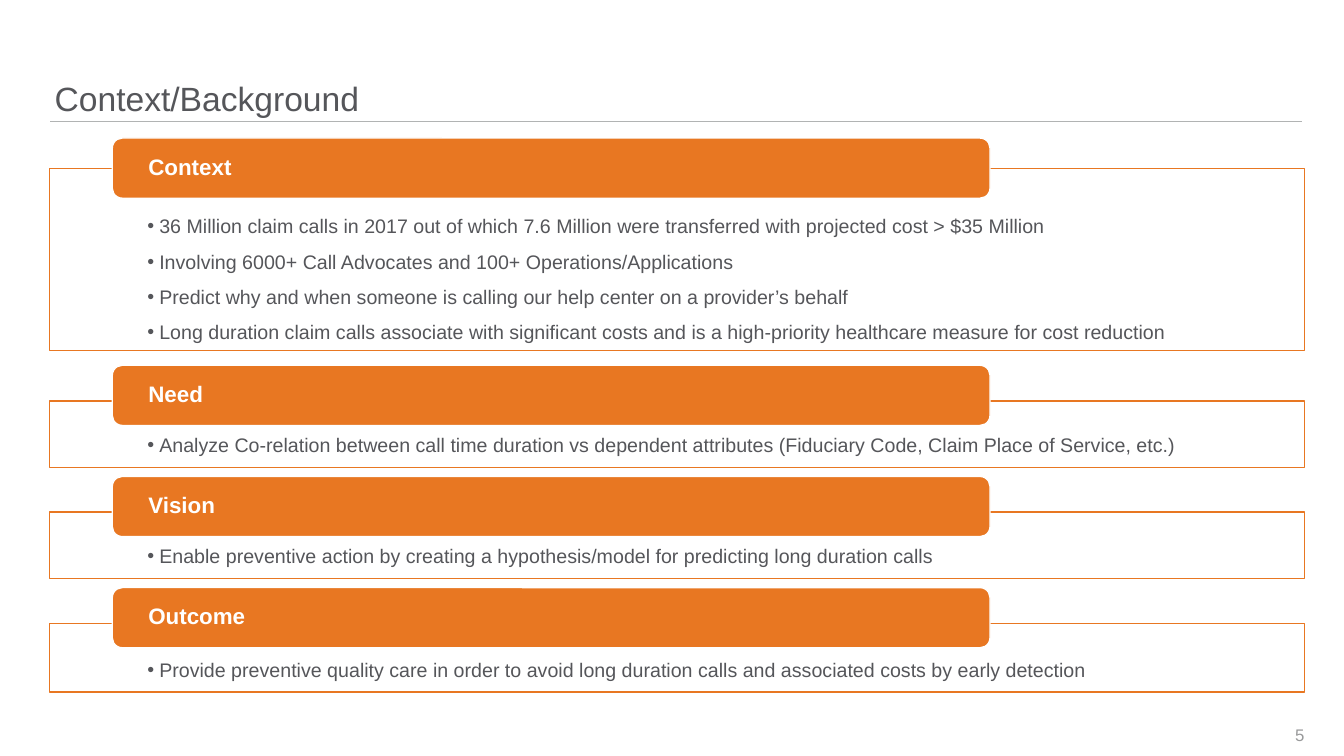
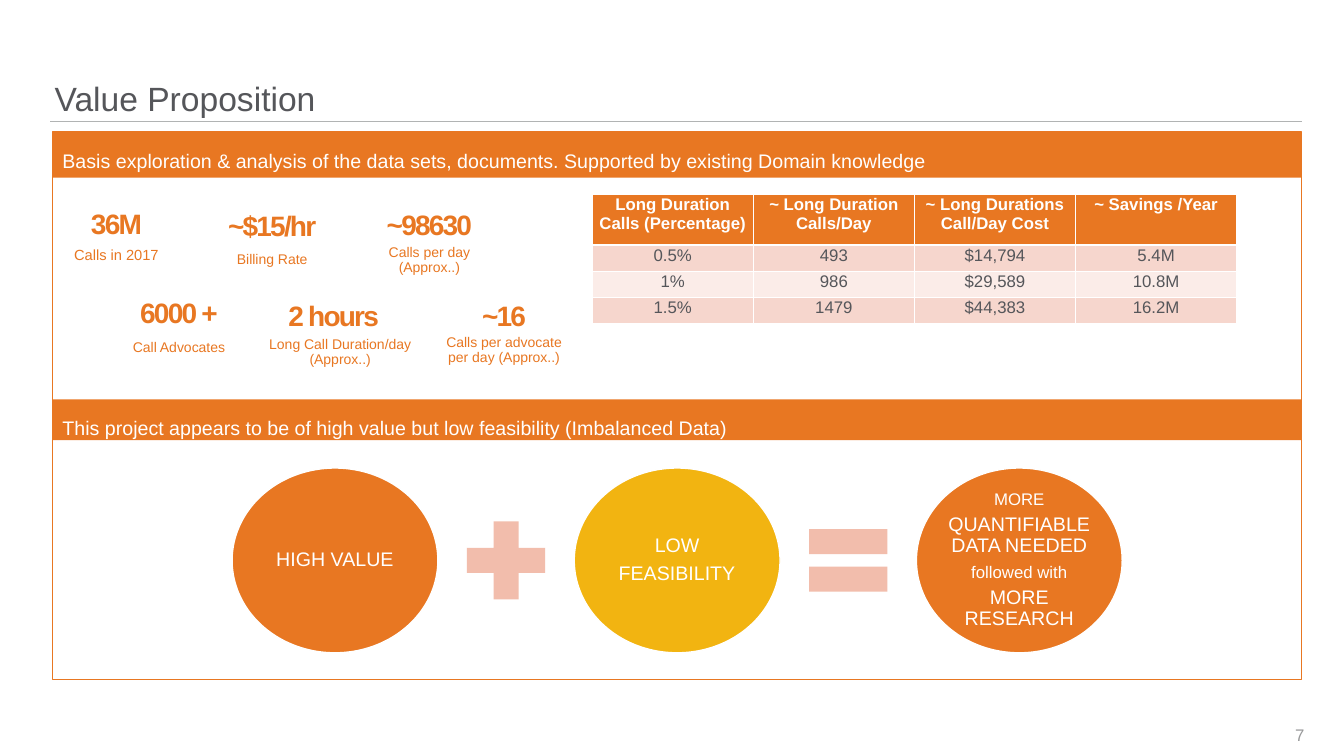
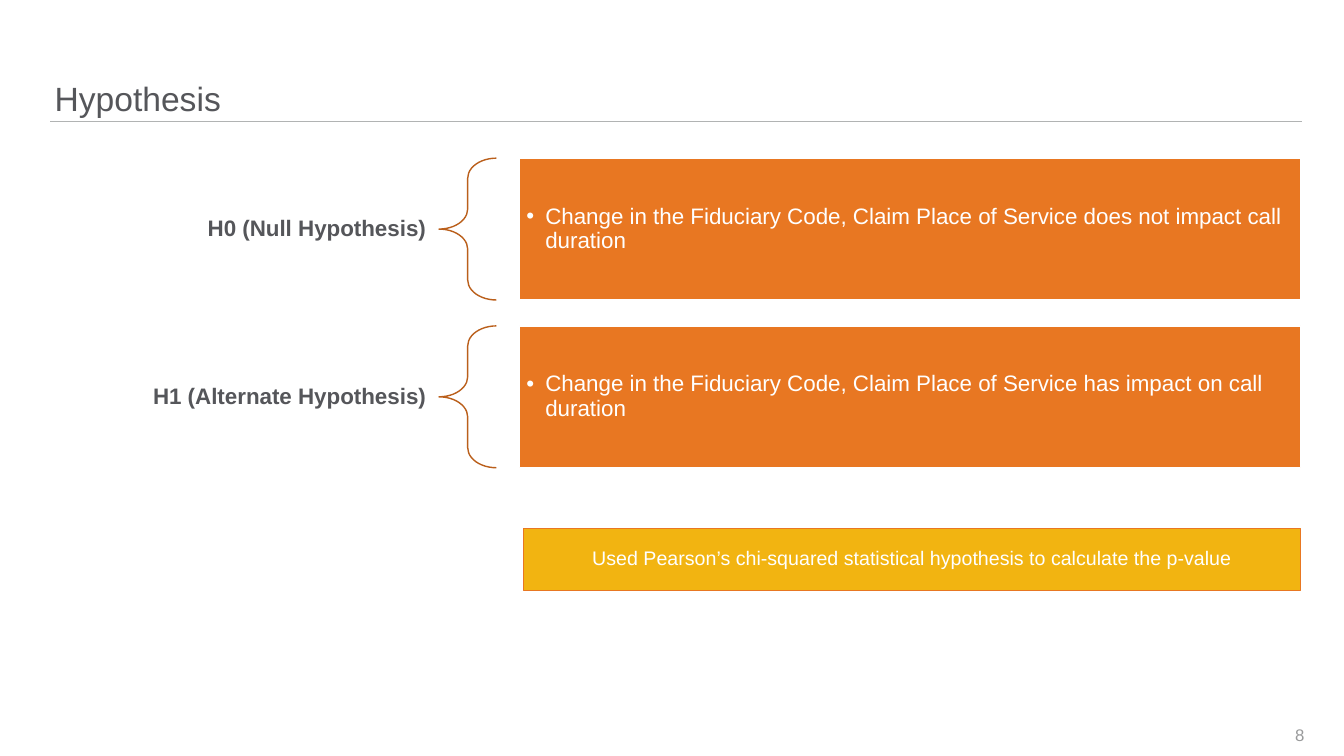
from dataclasses import dataclass
from lxml import etree
from pptx import Presentation
from pptx import util as u
from pptx.dml.color import RGBColor
from pptx.enum import shapes, text
from pptx.oxml.ns import qn

KIND = shapes.MSO_SHAPE
ALIGN = text.PP_ALIGN
ANCHOR = text.MSO_ANCHOR


@dataclass(frozen=True)
class Theme:
    font: str = "Arial"
    ink: str = "55565A"
    gray: str = "999A9B"
    rule: str = "B1B3B3"
    main: str = "E87722"
    dark: str = "BA5F1B"
    gold: str = "F2B411"
    sign: str = "F2BDAC"
    odd: str = "F6D6CD"
    even: str = "FBECE8"
    white: str = "FFFFFF"
    title: float = 24
    stat: float = 20
    head: float = 16
    body: float = 14
    small: float = 12
    note: float = 10


T = Theme()


def rgb(code):
    return RGBColor.from_string(code)


# Shared text and shape helpers
def write(frame, lines, size, color, bold=False, align=ALIGN.LEFT,
          anchor=ANCHOR.MIDDLE, pad=(0, 0, 0, 0), gap=0.9, after=0):
    """Fill a frame; a line is a string or a (string, size) pair.
    The space after a line is a share of its type size."""
    frame.word_wrap = True
    frame.auto_size = text.MSO_AUTO_SIZE.NONE
    frame.vertical_anchor = anchor
    (frame.margin_left, frame.margin_top,
     frame.margin_right, frame.margin_bottom) = map(u.Pt, pad)
    pairs = [(ln, size) if isinstance(ln, str) else ln for ln in lines]
    frame.text = "\n".join(words for words, _ in pairs)
    for para, (_, pts) in zip(frame.paragraphs, pairs):
        para.alignment = align
        para.line_spacing = gap
        para.space_before = u.Pt(0)
        para.space_after = u.Pt(round(after * pts, 1))
        for run in para.runs:
            font = run.font
            font.name, font.size, font.bold = T.font, u.Pt(pts), bold
            font.color.rgb = rgb(color)


def bullet(shape, dent):
    for props in shape.element.iter(qn("a:pPr")):
        props.set("marL", str(u.Pt(dent)))
        props.set("indent", str(-u.Pt(dent)))
        etree.SubElement(props, qn("a:buFont")).set("typeface", T.font)
        etree.SubElement(props, qn("a:buChar")).set("char", "•")


def draw(slide, kind, box, fill=None, line=None, width=1):
    shape = slide.shapes.add_shape(kind, *map(u.Pt, box))
    shape.shadow.inherit = False
    if fill:
        shape.fill.solid()
        shape.fill.fore_color.rgb = rgb(fill)
    else:
        shape.fill.background()
    if line:
        shape.line.color.rgb = rgb(line)
        shape.line.width = u.Pt(width)
    else:
        shape.line.fill.background()
    return shape


def label(slide, box, words, size, color, **style):
    shape = slide.shapes.add_textbox(*map(u.Pt, box))
    write(shape.text_frame, [words], size, color, **style)
    return shape


# Title and page number of every slide
def page(deck, layout, title, number):
    slide = deck.slides.add_slide(layout)
    head = slide.shapes.title
    head.left, head.top, head.width, head.height = map(u.Pt, (39, 26, 891, 59))
    write(head.text_frame, [title], T.title, T.ink, anchor=ANCHOR.BOTTOM)
    label(slide, (883.6, 510.5, 48.2, 28.8), number, T.small, T.gray,
          align=ALIGN.RIGHT, gap=1)
    return slide


# Rule under the title, kept on the layout
def rule(slide, layout):
    line = slide.shapes.add_connector(
        shapes.MSO_CONNECTOR.STRAIGHT, *map(u.Pt, (36, 86.6, 930, 86.6)))
    line.line.color.rgb = rgb(T.rule)
    line.line.width = u.Pt(1)
    etree.SubElement(line.element.find(qn("p:spPr")), qn("a:effectLst"))
    layout.shapes.element.append(line.element)


# Outlined panel with a tab across its top edge
def panel(slide, box, lift, head, lines, gap):
    left, top, _, _ = box
    body = draw(slide, KIND.RECTANGLE, box, T.white, T.main)
    write(body.text_frame, lines, T.body, T.ink, anchor=ANCHOR.TOP,
          pad=(70, 24.5, 70, 8), gap=gap, after=0 if gap > 1 else 0.15)
    bullet(body, 8.6)
    tab = draw(slide, KIND.ROUNDED_RECTANGLE, (left + 45, top - lift, 627, 43),
               T.main, T.white)
    write(tab.text_frame, [head], T.head, T.white, bold=True,
          pad=(23.7, 0, 23.7, 0), after=0.35)


def context(slide):
    panels = [
        (120.2, 130.2, 21.6, 1.5, "Context", [
            "36 Million claim calls in 2017 out of which 7.6 Million were transferred with projected cost > $35 Million",
            "Involving 6000+ Call Advocates and 100+ Operations/Applications",
            "Predict why and when someone is calling our help center on a provider’s behalf",
            "Long duration claim calls associate with significant costs and is a high-priority healthcare measure for cost reduction"]),
        (286.4, 47.5, 25.5, 0.9, "Need", [
            "Analyze Co-relation between call time duration vs dependent attributes (Fiduciary Code, Claim Place of Service, etc.)"]),
        (365.8, 47.5, 25.5, 0.9, "Vision", [
            "Enable preventive action by creating a hypothesis/model for predicting long duration calls"]),
        (445.2, 49, 25.5, 1, "Outcome", [
            "Provide preventive quality care in order to avoid long duration calls and associated costs by early detection"]),
    ]
    for top, high, lift, gap, head, lines in panels:
        panel(slide, (35.2, top, 896.4, high), lift, head, lines, gap)


# Full-width band with a heading
def band(slide, box, words):
    bar = draw(slide, KIND.RECTANGLE, box, T.main)
    write(bar.text_frame, [words], T.body, T.white, anchor=ANCHOR.TOP,
          pad=(7.2, 3.6, 7.2, 3.6), gap=1.5)


# Key figure centred on mid, with its caption ending at base
def stat(slide, x, mid, base, figure, words, size=T.note, wide=106.5, shift=0):
    value = label(slide, (x - 53, mid - 15, 106, 30), figure, T.stat, T.main,
                  bold=True, align=ALIGN.CENTER, pad=(8.6, 4.3, 8.6, 4.3))
    for props in value.element.iter(qn("a:rPr")):
        props.set("spc", "-130")
    label(slide, (x + shift - wide / 2, base - 26, wide, 26), words, size, T.main,
          align=ALIGN.CENTER, anchor=ANCHOR.BOTTOM, pad=(8.6, 4.3, 8.6, 0))


def stats(slide, left, top):
    figures = [
        (45.7, 67, 94.3, "36M", "Calls in 2017", 10.5),
        (156.9, 68.1, 96.5, "~$15/hr", "Billing Rate"),
        (269.2, 67.3, 102.3, "~98630", "Calls per day (Approx..)"),
        (90.3, 130, 159.5, "6000 +", "Call Advocates"),
        (200.8, 132.5, 168.5, "2 hours", "Long Call Duration/day (Approx..)",
         T.note, 127.4, 4.7),
        (322.5, 132.1, 167.1, "~16", "Calls per advocate per day (Approx..)"),
    ]
    for x, mid, base, *rest in figures:
        stat(slide, left + x, top + mid, top + base, *rest)


def savings(slide, left, top):
    rows = [
        ("Long Duration Calls (Percentage)", "~ Long Duration Calls/Day",
         "~ Long Durations Call/Day Cost", "~ Savings /Year"),
        ("0.5%", "493", "$14,794", "5.4M"),
        ("1%", "986", "$29,589", "10.8M"),
        ("1.5%", "1479", "$44,383", "16.2M"),
    ]
    highs = (36, 19, 18.6, 18.6)
    grid = slide.shapes.add_table(
        len(rows), 4, *map(u.Pt, (left, top, 460.4, sum(highs)))).table
    for r, (row, high) in enumerate(zip(rows, highs)):
        grid.rows[r].height = u.Pt(high)
        fill = T.main if r == 0 else (T.even, T.odd)[r % 2]
        for c, words in enumerate(row):
            cell = grid.cell(r, c)
            cell.fill.solid()
            cell.fill.fore_color.rgb = rgb(fill)
            write(cell.text_frame, [words], T.small, T.ink if r else T.white,
                  bold=r == 0, align=ALIGN.CENTER, gap=1)
            cell.vertical_anchor = ANCHOR.TOP
            (cell.margin_left, cell.margin_top,
             cell.margin_right, cell.margin_bottom) = map(u.Pt, (0.7, 0.7, 0.7, 0))


# Circles joined by plus and equals signs
def sums(slide, left, top):
    wide, high, sign, step = 147, 132, 76, 244.4
    terms = [
        (T.main, ["HIGH VALUE"], KIND.MATH_PLUS),
        (T.gold, ["LOW", "FEASIBILITY"], KIND.MATH_EQUAL),
        (T.main, [("MORE", T.small), "QUANTIFIABLE DATA NEEDED",
                  ("followed with", T.small), "MORE RESEARCH"], None),
    ]
    for i, (fill, lines, kind) in enumerate(terms):
        x = left + i * step
        disc = draw(slide, KIND.OVAL, (x, top, wide, high), fill, T.white)
        write(disc.text_frame, lines, T.body, T.white, align=ALIGN.CENTER,
              after=0.35)
        if kind:
            draw(slide, kind, (x + (wide + step - sign) / 2,
                               top + (high - sign) / 2, sign, sign), T.sign)


def value(slide):
    left, top, wide = 37.5, 94.3, 892.5
    draw(slide, KIND.RECTANGLE, (left, top, wide, 391.4), None, T.main, 0.75)
    band(slide, (left, top, wide, 32.6),
         "Basis exploration & analysis of the data sets, documents. Supported by existing Domain knowledge")
    stats(slide, left, top)
    savings(slide, left + 385.5, top + 44.7)
    band(slide, (left, top + 191, wide, 29.2),
         "This project appears to be of high value but low feasibility (Imbalanced Data)")
    sums(slide, left + 128.3, top + 240)


# Name, brace and statement of one hypothesis
def claim(slide, left, top, name, words):
    high = 101.3
    label(slide, (left, top, 275, high), name, T.head, T.ink, bold=True,
          align=ALIGN.RIGHT, pad=(8.6, 2.9, 8.6, 2.9), after=0.35)
    brace = draw(slide, KIND.LEFT_BRACE, (left + 275.6, top, 41, high), None, T.dark)
    brace.adjustments[0], brace.adjustments[1] = 0.35, 0.5
    box = draw(slide, KIND.RECTANGLE, (left + 333, top, 558, high), T.main, T.white)
    write(box.text_frame, [words], T.head, T.white, pad=(5,) * 4, after=0.15)
    bullet(box, 13.5)


def claims(slide):
    pairs = [
        ("H0 (Null Hypothesis)",
         "Change in the Fiduciary Code, Claim Place of Service does not impact call duration"),
        ("H1 (Alternate Hypothesis)",
         "Change in the Fiduciary Code, Claim Place of Service has impact on call duration"),
    ]
    for i, (name, words) in enumerate(pairs):
        claim(slide, 38, 113 + i * 119.8, name, words)
    test = draw(slide, KIND.RECTANGLE, (374, 377.4, 555, 44.4), T.gold, T.main, 0.75)
    write(test.text_frame,
          ["Used Pearson’s chi-squared statistical hypothesis to calculate the p-value"],
          T.body, T.white, align=ALIGN.CENTER)


def main():
    deck = Presentation()
    deck.slide_width, deck.slide_height = u.Pt(960), u.Pt(540)
    layout = deck.slide_layouts[5]
    plan = [("Context/Background", "5", context),
            ("Value Proposition", "7", value),
            ("Hypothesis", "8", claims)]
    for title, number, fill in plan:
        fill(page(deck, layout, title, number))
    rule(deck.slides[0], layout)
    deck.save("out.pptx")


if __name__ == "__main__":
    main()
